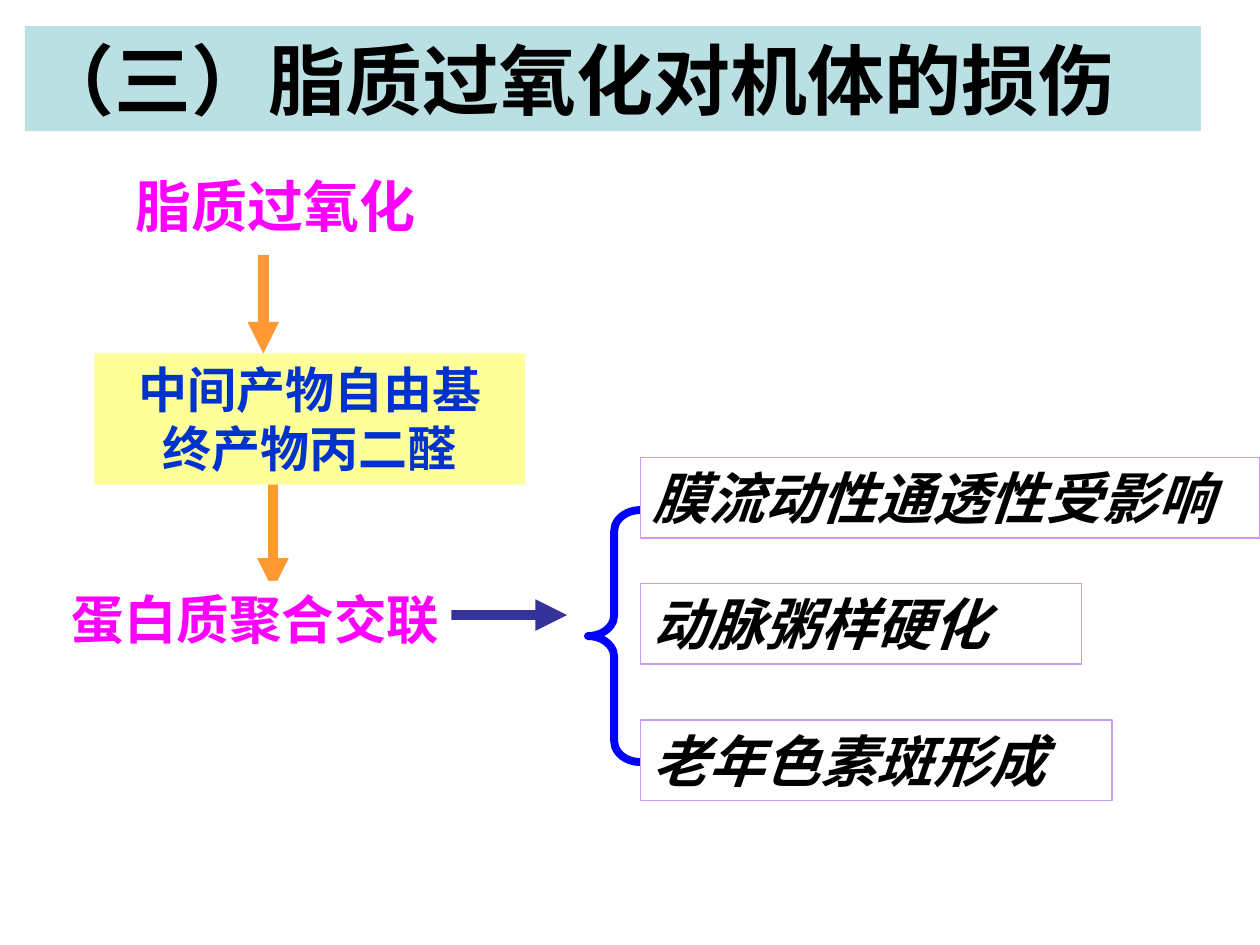
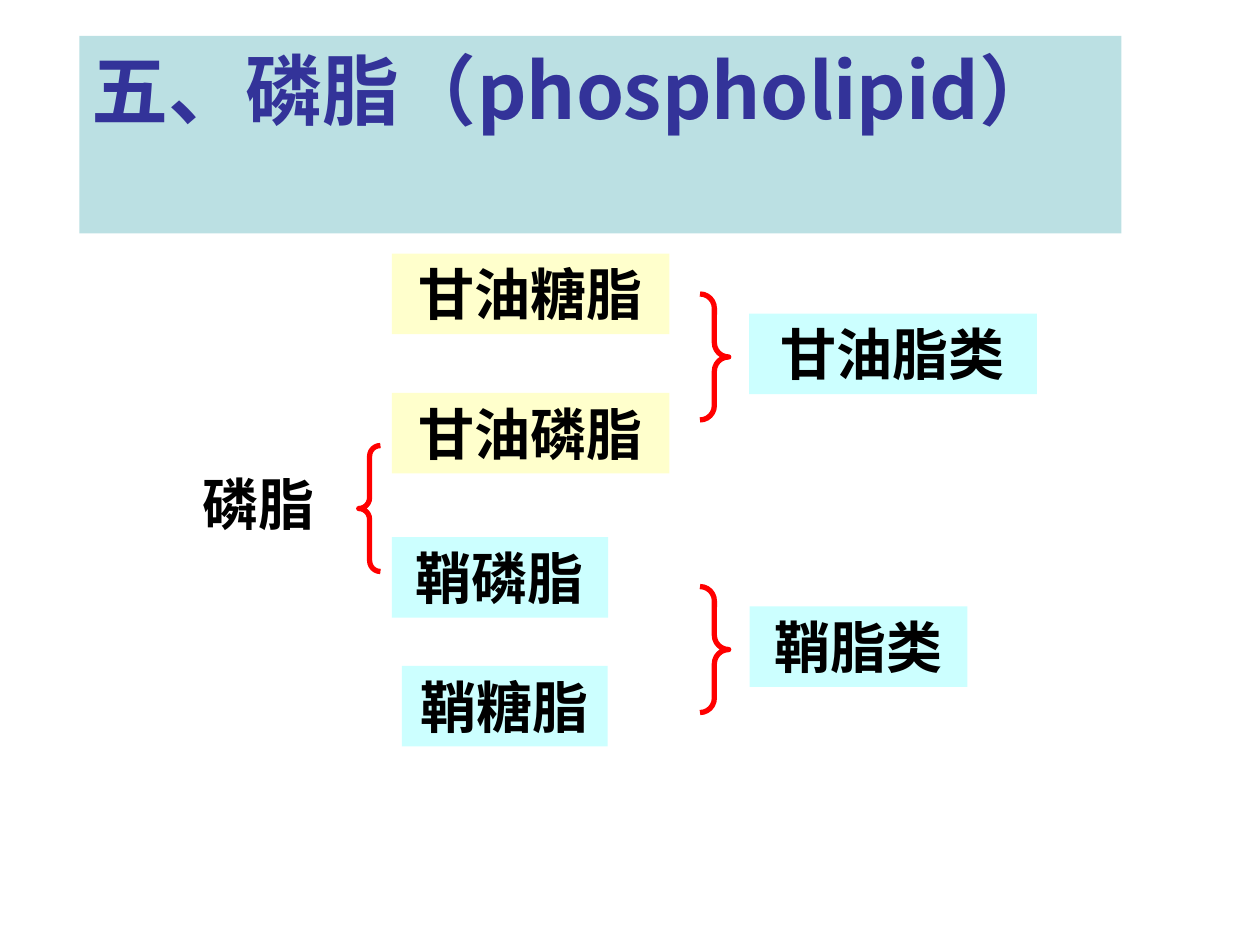
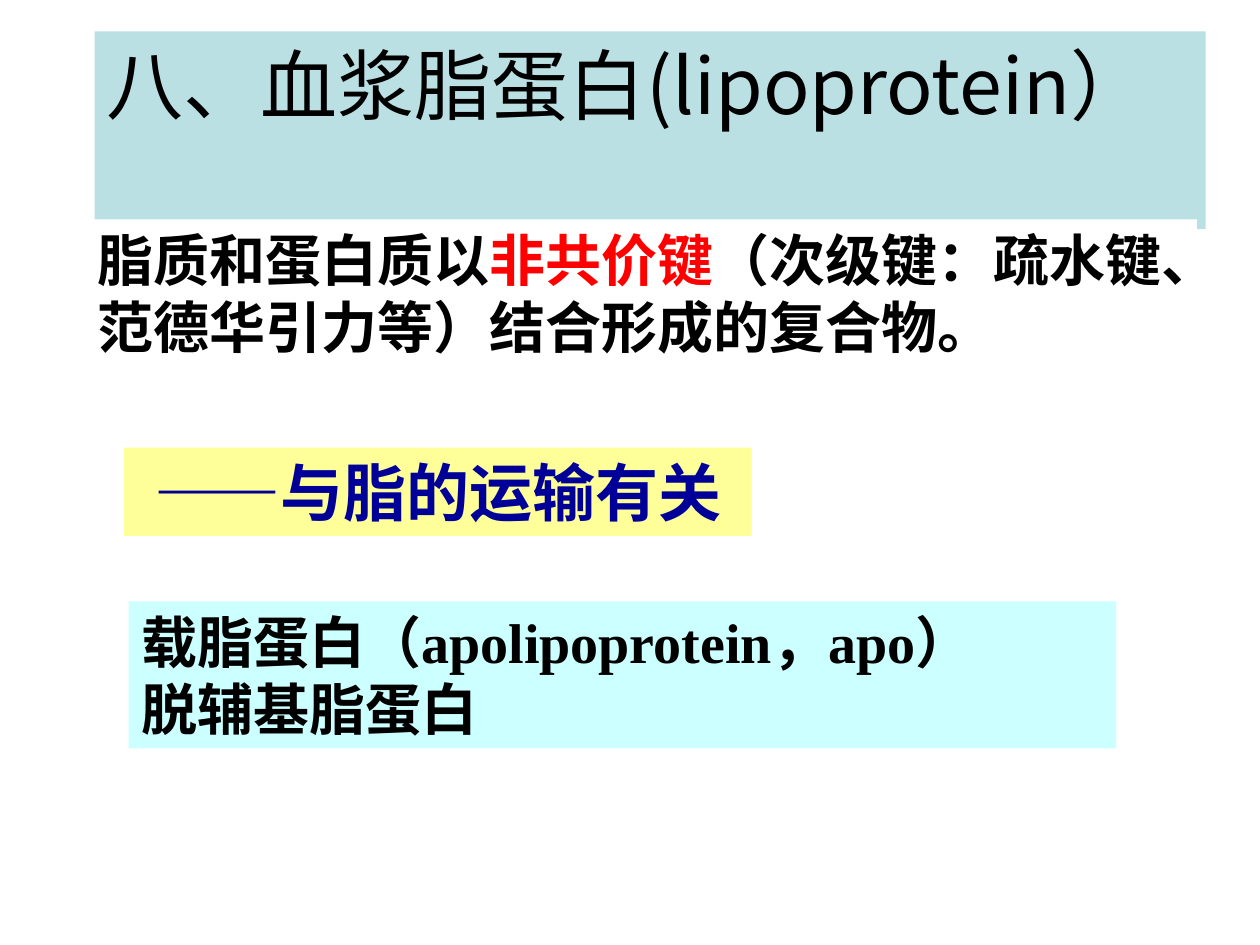
from lxml import etree
from pptx import Presentation
from pptx.dml.color import RGBColor
from pptx.enum.shapes import MSO_CONNECTOR, MSO_SHAPE
from pptx.enum.text import MSO_ANCHOR, PP_ALIGN
from pptx.oxml.ns import qn
from pptx.util import Pt

COLORS = {
    "band": "BBE0E3", "white": "FFFFFF", "black": "000000",
    "magenta": "FF00FF", "orange": "FF9933", "yellow": "FFFF99",
    "cream": "FFFFCC", "cyan": "CCFFFF", "lilac": "CC99FF",
    "indigo": "333399", "blue": "0000FF", "royal": "0033CC",
    "navy": "000099", "red": "FF0000",
}
BODY, HEAD, SERIF = "Cabin", "Noto Sans CJK SC", "Times New Roman"
LEFT, CENTER, RIGHT = PP_ALIGN.LEFT, PP_ALIGN.CENTER, PP_ALIGN.RIGHT


def rgb(name):
    return RGBColor.from_string(COLORS[name])


class Deck:
    def __init__(self):
        self.prs = Presentation()
        self.prs.slide_width, self.prs.slide_height = Pt(720), Pt(540)
        self.s = None

    def slide(self):
        self.s = self.prs.slides.add_slide(self.prs.slide_layouts[6])

    def shape(self, kind, at):
        sp = self.s.shapes.add_shape(kind, *map(Pt, at))
        sp.shadow.inherit = False
        return sp

    def run(self, p, text, size, color, bold, italic, font):
        r = p.add_run()
        r.text = text
        f = r.font
        f.name, f.size, f.bold, f.italic = font, Pt(size), bold, italic
        f.color.rgb = rgb(color)
        etree.SubElement(r._r.get_or_add_rPr(), qn("a:ea"), typeface=HEAD)

    def box(self, at, lines, fill="white", size=32, color="black", bold=True,
            italic=False, align=LEFT, line=None, font=BODY):
        sp = self.shape(MSO_SHAPE.RECTANGLE, at)
        sp.fill.solid()
        sp.fill.fore_color.rgb = rgb(fill)
        if line:
            sp.line.color.rgb, sp.line.width = rgb(line), Pt(0.75)
        else:
            sp.line.fill.background()
        tf = sp.text_frame
        tf.word_wrap, tf.vertical_anchor = True, MSO_ANCHOR.TOP
        for i, line_runs in enumerate(lines):
            p = tf.add_paragraph() if i else tf.paragraphs[0]
            p.alignment = align
            for text, *style in line_runs:
                own = style[0] if style else {}
                self.run(p, text, size, own.get("color", color), bold, italic,
                         own.get("font", font))

    def title(self, at, text, color="black", bold=True):
        self.box(at, [[(text,)]], "band", 44, color, bold, font=HEAD)

    def brace(self, kind, at, color, width, curve=0.5):
        sp = self.shape(kind, at)
        sp.adjustments[0] = curve
        sp.fill.background()
        sp.line.color.rgb, sp.line.width = rgb(color), Pt(width)

    def arrow(self, start, end, color):
        c = self.s.shapes.add_connector(MSO_CONNECTOR.STRAIGHT, *map(Pt, start + end))
        c.line.color.rgb, c.line.width = rgb(color), Pt(6)
        etree.SubElement(c.line._get_or_add_ln(), qn("a:tailEnd"), type="triangle")
        etree.SubElement(c._element.spPr, qn("a:effectLst"))


def damage_slide(d):
    d.slide()
    d.title((14.2, 15, 672, 60), "（三）脂质过氧化对机体的损伤")
    d.box((70.5, 94.5, 188, 79), [[("脂质过氧化",)]], color="magenta")
    d.arrow((156, 276), (156, 337), "orange")
    d.box((54, 202, 246, 75), [[("中间产物自由基",)], [("终产物丙二醛",)]],
          "yellow", 28, "royal", align=CENTER)
    d.arrow((258, 351.5), (324, 351.5), "indigo")
    d.brace(MSO_SHAPE.LEFT_BRACE, (336, 291.5, 30, 144), "blue", 4.5, 0.4)
    outcomes = [(261.5, 354, "膜流动性通透性受影响"),
                (333.5, 252, "动脉粥样硬化"),
                (411.5, 269.5, "老年色素斑形成")]
    for top, width, text in outcomes:
        d.box((366, top, width, 46), [[(text,)]], italic=True, line="lilac")
    d.box((22.5, 332, 235.5, 43), [[("蛋白质聚合交联",)]], size=30,
          color="magenta", align=RIGHT)
    d.arrow((150.5, 145.5), (150.5, 202), "orange")


def phospholipid_slide(d):
    d.slide()
    d.title((45.4, 20.5, 595.4, 113), "五、磷脂（phospholipid）", "indigo")
    lipids = [
        (99.5, 264.5, 97, "磷脂", "white"),
        (224, 145, 158.5, "甘油糖脂", "cream"),
        (224, 224.5, 158.5, "甘油磷脂", "cream"),
        (224, 307, 123.5, "鞘磷脂", "cyan"),
        (229.7, 380.5, 117.5, "鞘糖脂", "cyan"),
        (428, 179.2, 164.5, "甘油脂类", "cyan"),
        (428.4, 346.5, 124.5, "鞘脂类", "cyan"),
    ]
    for left, top, width, text, fill in lipids:
        d.box((left, top, width, 46), [[(text,)]], fill, align=CENTER)
    d.brace(MSO_SHAPE.LEFT_BRACE, (205, 254.6, 12.4, 72), "red", 3)
    for top in (168, 335.2):
        d.brace(MSO_SHAPE.RIGHT_BRACE, (400, top, 16.4, 72), "red", 3)


def lipoprotein_slide(d):
    d.slide()
    d.title((54, 18, 635, 113), "八、血浆脂蛋白(lipoprotein）", bold=False)
    d.box((48.4, 125.3, 635.6, 84),
          [[("脂质和蛋白质以",), ("非共价键", {"color": "red"}),
            ("（次级键：疏水键、范德华引力等）结合形成的复合物。",)]])
    d.box((73.6, 343.7, 564.2, 84),
          [[("载脂蛋白（",), ("apolipoprotein，apo", {"font": SERIF}), ("）",)],
           [("脱辅基脂蛋白",)]], "cyan")
    d.box((70.8, 255.8, 358.8, 50.5), [[("——与脂的运输有关",)]], "yellow", 36,
          "navy", align=CENTER)


def main():
    d = Deck()
    damage_slide(d)
    phospholipid_slide(d)
    lipoprotein_slide(d)
    d.prs.save("out.pptx")


if __name__ == "__main__":
    main()
